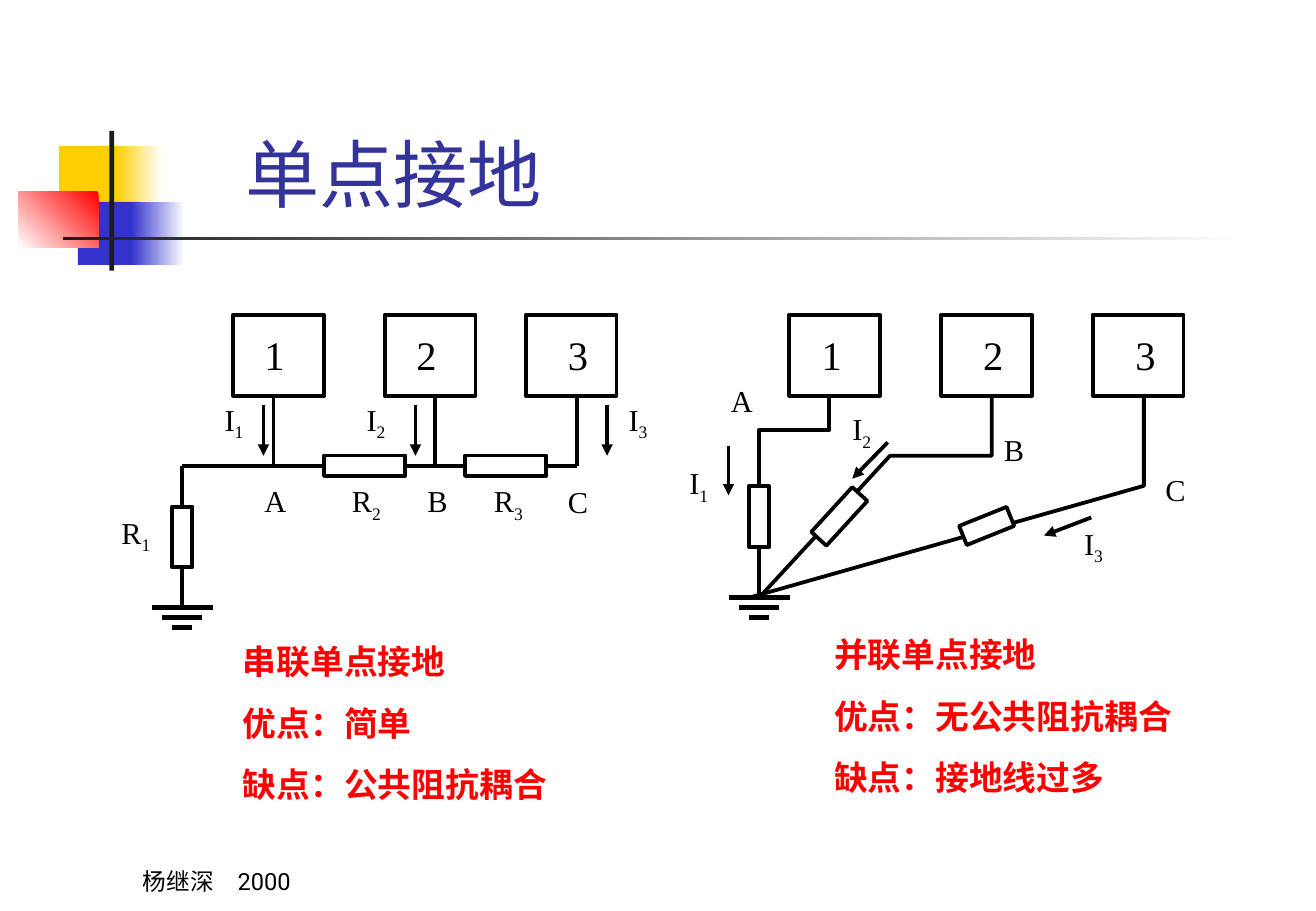
from lxml.etree import SubElement
from pptx import Presentation
from pptx.dml.color import RGBColor
from pptx.enum.shapes import MSO_CONNECTOR as LINK, MSO_SHAPE as SHAPE
from pptx.enum.text import MSO_ANCHOR as ANCHOR
from pptx.oxml.ns import qn
from pptx.util import Cm, Pt

COLORS = {
    "black": "000000", "white": "FFFFFF", "ink": "1C1C1C", "yellow": "FFCF01",
    "blue": "3333CC", "red": "FF0000", "title": "333399",
}
RGB = {name: RGBColor.from_string(code) for name, code in COLORS.items()}
SERIF, SANS = "Times New Roman", "Roboto"

deck = Presentation()
deck.slide_width, deck.slide_height = Cm(27.53), Cm(19.05)
page = deck.slides.add_slide(deck.slide_layouts[6])


def add_block(left, top, width, height, fills, angle=180, outline=False):
    block = page.shapes.add_shape(SHAPE.RECTANGLE, Cm(left), Cm(top), Cm(width), Cm(height))
    block.shadow.inherit = False
    if len(fills) == 1:
        block.fill.solid()
        block.fill.fore_color.rgb = RGB[fills[0]]
    else:
        block.fill.gradient()
        block.fill.gradient_angle = angle
        for stop, name in zip(block.fill.gradient_stops, fills):
            stop.color.rgb = RGB[name]
    if outline:
        block.line.color.rgb = RGB["black"]
        block.line.width = Pt(2.25)
    else:
        block.line.fill.background()
    return block


def add_text(left, top, width, height, lines, size, color="black", face=SERIF,
             bold=False, anchor=ANCHOR.TOP, gap=0):
    box = page.shapes.add_textbox(Cm(left), Cm(top), Cm(width), Cm(height))
    frame = box.text_frame
    frame.word_wrap = True
    frame.vertical_anchor = anchor
    for index, line in enumerate(lines):
        para = frame.add_paragraph() if index else frame.paragraphs[0]
        if index:
            para.space_before = Pt(gap)
        para.font.name, para.font.size, para.font.bold = face, Pt(size), bold
        para.font.color.rgb = RGB[color]
        para.add_run().text = line
    return frame.paragraphs[0]


for left, top, width, height, fills, angle in [
    (1.24, 3.05, 1.32, 1.32, ["yellow"], 180),
    (2.41, 3.05, 0.99, 1.32, ["white", "yellow"], 180),
    (1.63, 4.22, 1.27, 1.32, ["blue"], 180),
    (2.74, 4.22, 1.12, 1.32, ["white", "blue"], 180),
    (0.38, 4.01, 1.68, 1.17, ["red", "white"], 225),
    (2.29, 2.74, 0.1, 2.92, ["ink"], 180),
    (1.32, 4.95, 24.77, 0.08, ["white", "ink"], 180),
]:
    add_block(left, top, width, height, fills, angle)

add_text(4.88, 2.54, 20.62, 2.13, ["单点接地"], 44, "title", SANS, anchor=ANCHOR.BOTTOM)

for number, box_left, number_left in [
    ("1", 4.88, 5.28), ("2", 8.05, 8.46), ("3", 11, 11.63),
    ("1", 16.51, 16.94), ("2", 19.69, 20.32), ("3", 22.86, 23.5),
]:
    add_block(box_left, 6.58, 1.9, 1.7, ["white"], outline=True)
    add_text(number_left, 6.78, 1.27, 1.27, [number], 24)

wires = [
    (3.81, 9.75, 12.07, 9.75), (3.81, 9.75, 3.81, 10.59),
    (3.81, 11.86, 3.81, 12.7), (15.88, 11.43, 15.88, 12.5),
] + [(x, 8.28, x, 9.75) for x in (5.72, 9.1, 12.07)]
arrows = [(x, 8.46, x, 9.53) for x in (5.51, 8.69, 12.7)] + [
    (15.24, 9.32, 15.24, 10.36), (18.57, 9.25, 17.83, 10.01),
    (22.83, 10.82, 21.84, 11.2),
]
ground_bars = [
    (x - half, y + 0.21 * row, x + half, y + 0.21 * row)
    for x, y in [(3.81, 12.7), (15.88, 12.5)]
    for row, half in enumerate([0.64, 0.42, 0.21])
]
for group, weight, pointed in [(wires, 2.25, False), (arrows, 2.25, True), (ground_bars, 3, False)]:
    for ends in group:
        link = page.shapes.add_connector(LINK.STRAIGHT, *[Cm(value) for value in ends])
        link.line.color.rgb = RGB["black"]
        link.line.width = Pt(weight)
        properties = link._element.spPr
        if pointed:
            SubElement(properties.find(qn("a:ln")), qn("a:tailEnd"), type="triangle")
        SubElement(properties, qn("a:effectLst"))

for points in [
    [(17.35, 8.28), (17.35, 8.99), (15.88, 8.99), (15.88, 10.59)],
    [(20.75, 8.26), (20.75, 9.53), (18.62, 9.53), (15.88, 12.5)],
    [(23.93, 8.26), (23.93, 10.16), (15.67, 12.5)],
]:
    start, *rest = [(Cm(x), Cm(y)) for x, y in points]
    builder = page.shapes.build_freeform(*start)
    builder.add_line_segments(rest, close=False)
    ground_wire = builder.convert_to_shape()
    ground_wire.shadow.inherit = False
    ground_wire.fill.background()
    ground_wire.line.color.rgb = RGB["black"]
    ground_wire.line.width = Pt(2.25)

for center_x, center_y, width, height, turn in [
    (3.81, 11.23, 0.43, 1.27, 0), (15.88, 10.8, 0.43, 1.27, 0),
    (7.63, 9.74, 1.7, 0.43, 0), (10.58, 9.74, 1.7, 0.43, 0),
    (17.56, 10.8, 0.43, 1.27, 42.5), (20.64, 11, 0.43, 1.07, 68.1),
]:
    resistor = add_block(center_x - width / 2, center_y - height / 2, width, height,
                         ["white"], outline=True)
    resistor.rotation = turn

label_widths = {"I": 1.27, "R": 1.6}
for name, left, top in [
    ("I1", 4.45, 8.26), ("I2", 7.42, 8.26), ("I3", 12.9, 8.26),
    ("I1", 14.17, 9.58), ("I2", 17.58, 8.46), ("I3", 22.43, 10.85),
    ("A", 5.28, 9.96), ("B", 8.69, 9.96), ("C", 11.63, 9.98),
    ("A", 15.04, 7.87), ("B", 20.75, 8.89), ("C", 24.13, 9.73),
    ("R1", 2.29, 10.62), ("R2", 7.11, 9.96), ("R3", 10.08, 9.96),
]:
    letter, digit = name[0], name[1:]
    para = add_text(left, top, label_widths.get(letter, 0.84), 1.1, [letter], 18)
    if digit:
        span = para.add_run()
        span.text = digit
        span._r.get_or_add_rPr().set("baseline", "-25000")

for left, top, lines in [
    (4.83, 13.28, ["串联单点接地", "优点：简单", "缺点：公共阻抗耦合"]),
    (17.2, 13.13, ["并联单点接地", "优点：无公共阻抗耦合", "缺点：接地线过多"]),
]:
    add_text(left, top, 8.48, 3.68, lines, 20, "red", bold=True, gap=12.5)

add_text(2.74, 17.58, 5.74, 1.27, ["杨继深　2000"], 14, face=SANS, anchor=ANCHOR.BOTTOM)

deck.save("out.pptx")
